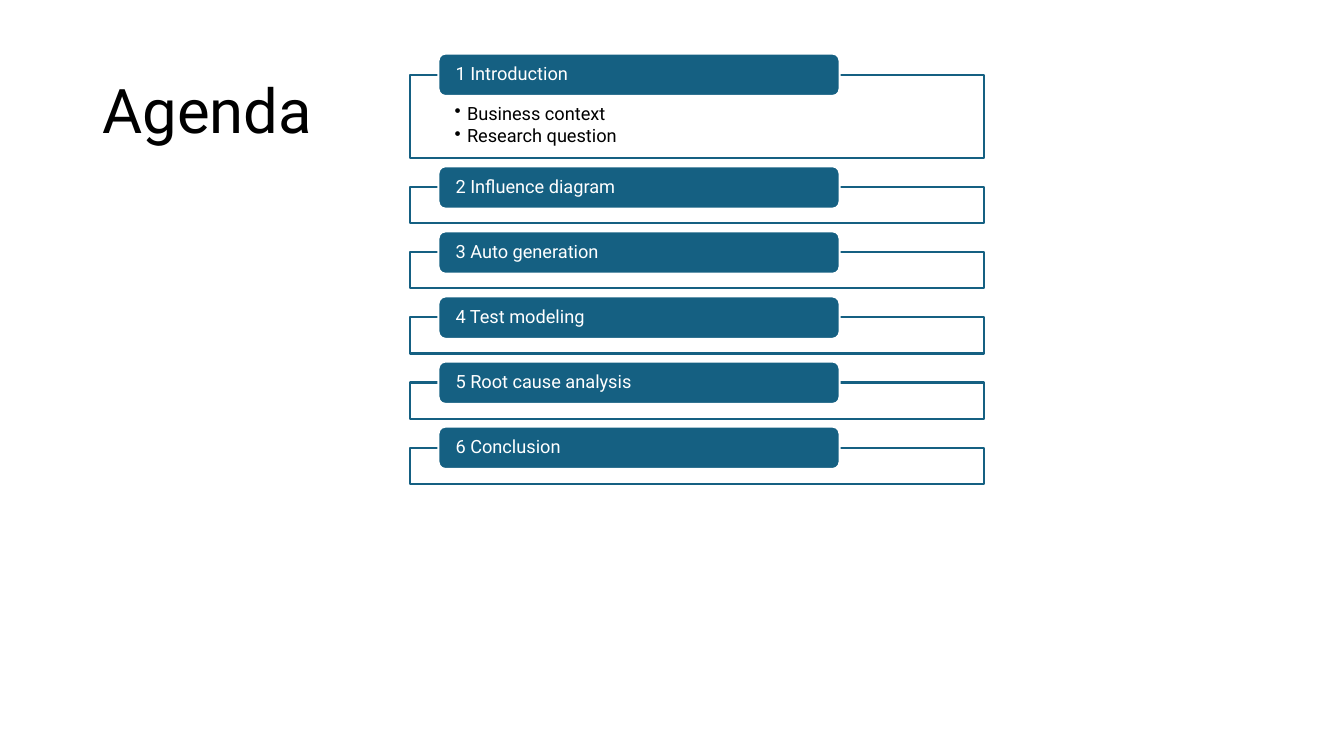
"""Build an agenda slide with a stack of titled section frames."""
from dataclasses import dataclass

from lxml import etree
from pptx import Presentation
from pptx.dml.color import RGBColor
from pptx.enum.shapes import MSO_SHAPE
from pptx.enum.text import MSO_ANCHOR, PP_ALIGN
from pptx.oxml.ns import qn
from pptx.util import Cm, Pt

RECT = MSO_SHAPE.RECTANGLE
ROUND = MSO_SHAPE.ROUNDED_RECTANGLE
LEFT = PP_ALIGN.LEFT
TOP = MSO_ANCHOR.TOP
MIDDLE = MSO_ANCHOR.MIDDLE


@dataclass(frozen=True)
class Theme:
    font: str = "Roboto"
    blue: RGBColor = RGBColor(0x15, 0x60, 0x82)
    white: RGBColor = RGBColor(0xFF, 0xFF, 0xFF)
    black: RGBColor = RGBColor(0x00, 0x00, 0x00)
    title: Pt = Pt(44)
    body: Pt = Pt(13)
    line: Pt = Pt(1.5)


theme = Theme()


def add_box(slide, kind, place, fill, edge):
    """Add a filled and outlined shape without a shadow."""
    box = slide.shapes.add_shape(kind, *[Cm(n) for n in place])
    box.shadow.inherit = False
    box.fill.solid()
    box.fill.fore_color.rgb = fill
    box.line.color.rgb = edge
    box.line.width = theme.line
    return box


def set_text(shape, text, size, color, anchor, insets):
    """Write left-aligned text with the given look and insets."""
    frame = shape.text_frame
    frame.text = text
    frame.word_wrap = True
    frame.vertical_anchor = anchor
    (frame.margin_left, frame.margin_top,
     frame.margin_right, frame.margin_bottom) = [Cm(n) for n in insets]
    for para in frame.paragraphs:
        para.alignment = LEFT
        para.line_spacing = 0.9
        for run in para.runs:
            run.font.name = theme.font
            run.font.size = size
            run.font.color.rgb = color


prs = Presentation()
prs.slide_width = Cm(33.87)
prs.slide_height = Cm(19.05)
slide = prs.slides.add_slide(prs.slide_layouts[6])

title = slide.shapes.add_textbox(Cm(2.33), Cm(1.01), Cm(29.21), Cm(3.68))
set_text(title, "Agenda", theme.title, theme.black, MIDDLE,
         (0.25, 0.13, 0.25, 0.13))

sections = [
    ("1 Introduction", ["Business context", "Research question"]),
    ("2 Influence diagram", []),
    ("3 Auto generation", []),
    ("4 Test modeling", []),
    ("5 Root cause analysis", []),
    ("6 Conclusion", []),
]
top, gap, lift = 1.88, 0.73, 0.53

for label, points in sections:
    height = 2.11 if points else 0.91
    panel = add_box(slide, RECT, (10.34, top, 14.45, height),
                    theme.white, theme.blue)
    tint = panel.fill._xPr.find(f".//{qn('a:srgbClr')}")
    etree.SubElement(tint, qn("a:alpha"), val="90000")

    if points:
        set_text(panel, "\n".join(points), theme.body, theme.black, TOP,
                 (1.12, 0.76, 1.12, 0.25))
        for para in panel.text_frame.paragraphs:
            para.level = 1
            para.space_after = Pt(2)
            props = para._p.get_or_add_pPr()
            props.set("marL", str(Cm(0.31)))
            props.set("indent", str(-Cm(0.31)))
            etree.SubElement(props, qn("a:buChar"), char="•")

    bar = add_box(slide, ROUND, (11.05, top - lift, 10.11, 1.07),
                  theme.blue, theme.white)
    set_text(bar, label, theme.body, theme.white, MIDDLE, (0.38, 0, 0.38, 0))
    top += height + gap

prs.save("out.pptx")
